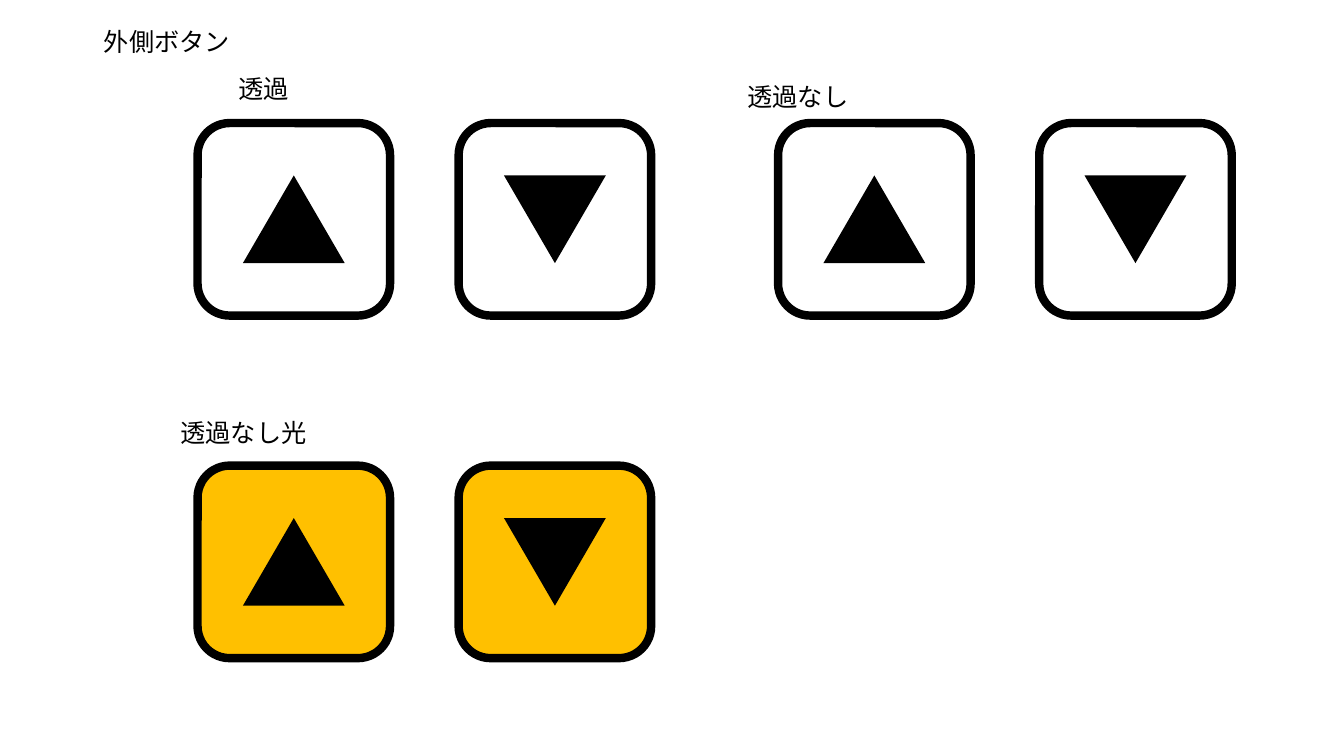
from dataclasses import dataclass

from lxml.etree import SubElement
from pptx import Presentation
from pptx.dml.color import RGBColor
from pptx.enum.shapes import MSO_SHAPE
from pptx.enum.text import MSO_AUTO_SIZE, PP_ALIGN
from pptx.oxml.ns import qn
from pptx.util import Pt


@dataclass(frozen=True)
class Theme:
    font: str = "Noto Sans CJK JP"
    text_size: float = 18
    ink: RGBColor = RGBColor(0x00, 0x00, 0x00)
    white: RGBColor = RGBColor(0xFF, 0xFF, 0xFF)
    lit: RGBColor = RGBColor(0xFF, 0xC0, 0x00)
    border: float = 6


class ButtonSheet:
    """Draws labels and elevator-style buttons; lengths are in points."""

    LABEL_W, LABEL_H = 180.7, 29
    BUTTON = 137.5
    ARROW_W, ARROW_H = 72.7, 62.6
    PITCH = 186.5

    def __init__(self, slide, theme):
        self.slide = slide
        self.theme = theme

    def label(self, text, left, top):
        box = self.slide.shapes.add_textbox(
            Pt(left), Pt(top), Pt(self.LABEL_W), Pt(self.LABEL_H))
        tf = box.text_frame
        tf.word_wrap = True
        tf.auto_size = MSO_AUTO_SIZE.SHAPE_TO_FIT_TEXT
        p = tf.paragraphs[0]
        p.text = text
        p.alignment = PP_ALIGN.CENTER
        p.font.size = Pt(self.theme.text_size)
        p.font.color.rgb = self.theme.ink
        p.font.name = self.theme.font
        # East Asian typeface
        SubElement(p.font._element, qn("a:ea"), typeface=self.theme.font)

    def shape(self, kind, left, top, width, height, fill=None):
        sp = self.slide.shapes.add_shape(
            kind, Pt(left), Pt(top), Pt(width), Pt(height))
        sp.shadow.inherit = False
        if fill is None:
            sp.fill.background()
        else:
            sp.fill.solid()
            sp.fill.fore_color.rgb = fill
        return sp

    def button(self, left, top, fill, rotation):
        frame = self.shape(MSO_SHAPE.ROUNDED_RECTANGLE, left, top,
                           self.BUTTON, self.BUTTON, fill)
        frame.line.color.rgb = self.theme.ink
        frame.line.width = Pt(self.theme.border)

        # Arrow centred in the frame
        arrow = self.shape(MSO_SHAPE.ISOSCELES_TRIANGLE,
                           left + (self.BUTTON - self.ARROW_W) / 2,
                           top + (self.BUTTON - self.ARROW_H) / 2,
                           self.ARROW_W, self.ARROW_H, self.theme.ink)
        arrow.line.fill.background()
        arrow.rotation = rotation

    def button_pair(self, left, top, fill):
        for i, rotation in enumerate((0, 180)):
            self.button(left + i * self.PITCH, top, fill, rotation)


def main():
    prs = Presentation()
    prs.slide_width, prs.slide_height = Pt(960), Pt(540)
    theme = Theme()
    sheet = ButtonSheet(prs.slides.add_slide(prs.slide_layouts[6]), theme)

    # Heading
    sheet.label("外側ボタン", 28.8, 15.1)

    # Button pairs: label, label position, pair position, fill
    groups = [
        ("透過", (97.9, 48.5), (141.1, 87.9), None),
        ("透過なし", (479.5, 54.3), (555.8, 87.9), theme.white),
        ("透過なし光", (83.5, 294.7), (141.1, 332.6), theme.lit),
    ]
    for text, label_at, pair_at, fill in groups:
        sheet.button_pair(*pair_at, fill)
        sheet.label(text, *label_at)

    prs.save("out.pptx")


if __name__ == "__main__":
    main()
